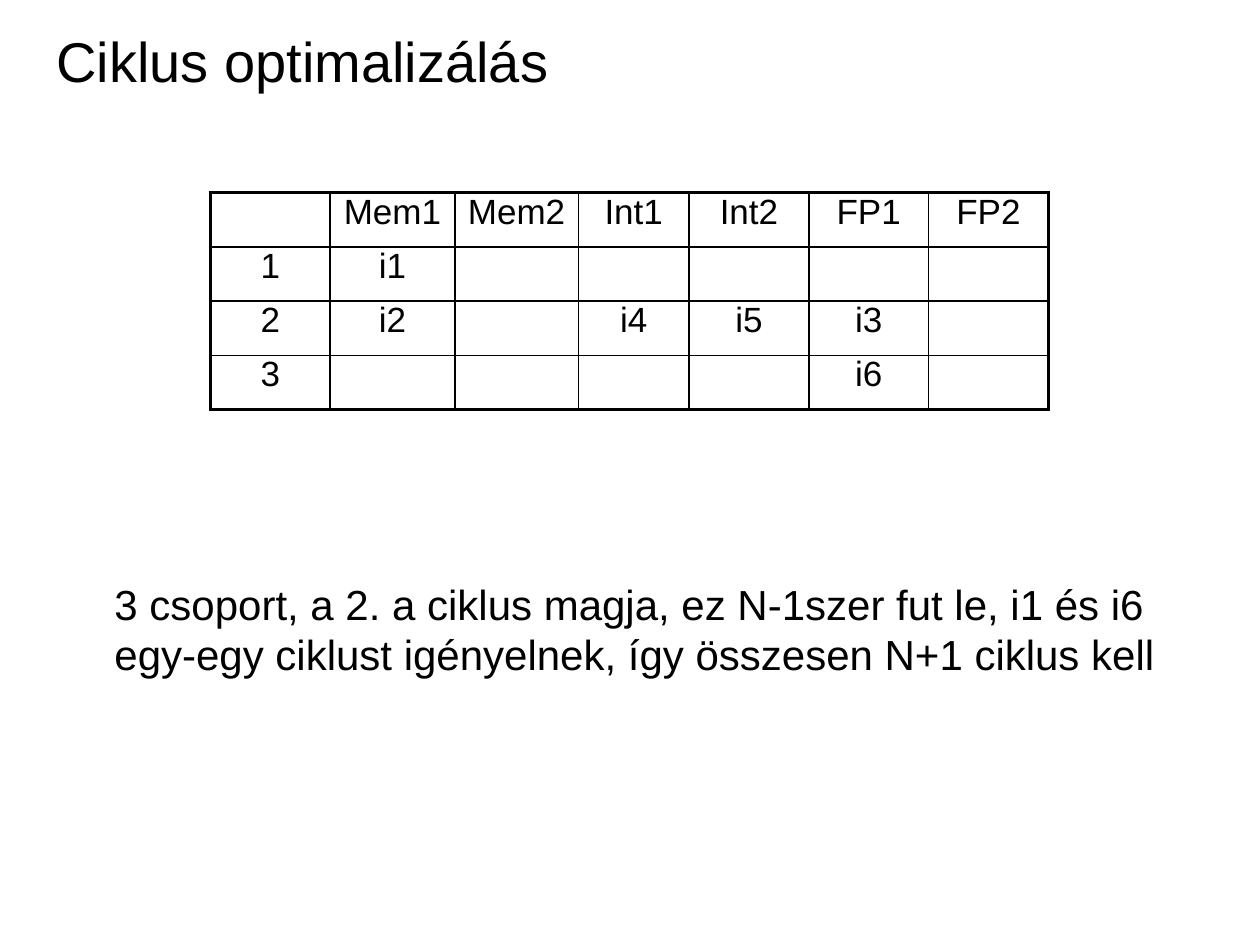
from dataclasses import dataclass

import pptx
import pptx.dml.color
import pptx.enum.text
import pptx.oxml
import pptx.oxml.ns
import pptx.util

Inches = pptx.util.Inches
Anchor = pptx.enum.text.MSO_ANCHOR
Align = pptx.enum.text.PP_ALIGN


@dataclass(frozen=True)
class Theme:
    font: str = "Arial"
    ink: str = "000000"
    title_size: int = 32
    body_size: int = 24
    cell_size: int = 20
    outer_line: float = 2.25
    inner_line: float = 1


@dataclass(frozen=True)
class TextBlock:
    text: str
    left: float
    top: float
    width: float
    height: float
    size: int
    anchor: Anchor = Anchor.TOP


THEME = Theme()

TEXT_BLOCKS = [
    TextBlock("Ciklus optimalizálás", 0.35, 0.21, 5.75, 0.54,
              THEME.title_size, Anchor.MIDDLE),
    TextBlock("3 csoport, a 2. a ciklus magja, ez N-1szer fut le, i1 és i6 "
              "egy-egy ciklust igényelnek, így összesen N+1 ciklus kell",
              0.81, 4.54, 8.79, 0.9, THEME.body_size),
]

SCHEDULE = [
    ["", "Mem1", "Mem2", "Int1", "Int2", "FP1", "FP2"],
    ["1", "i1", "", "", "", "", ""],
    ["2", "i2", "", "i4", "i5", "i3", ""],
    ["3", "", "", "", "", "i6", ""],
]
SCHEDULE_LEFT, SCHEDULE_TOP = 1.67, 1.53
COLUMN_WIDTHS = [0.95, 0.99, 0.98, 0.88, 0.95, 0.95, 0.95]
ROW_HEIGHT = 0.43


def set_font(font: pptx.text.text.Font, size: int) -> None:
    font.name = THEME.font
    font.size = pptx.util.Pt(size)
    font.color.rgb = pptx.dml.color.RGBColor.from_string(THEME.ink)


def draw_text(page: pptx.slide.Slide, block: TextBlock) -> None:
    box = page.shapes.add_textbox(Inches(block.left), Inches(block.top),
                                  Inches(block.width), Inches(block.height))
    frame = box.text_frame
    frame.word_wrap = True
    frame.vertical_anchor = block.anchor
    frame.text = block.text
    set_font(frame.paragraphs[0].runs[0].font, block.size)


def set_border(cell: pptx.table._Cell, side: str, outer: bool) -> None:
    """Add one border line; side is L, R, T or B."""
    points = THEME.outer_line if outer else THEME.inner_line
    cell._tc.get_or_add_tcPr().append(pptx.oxml.parse_xml(
        f'<a:ln{side} {pptx.oxml.ns.nsdecls("a")} w="{pptx.util.Pt(points)}">'
        f'<a:solidFill><a:srgbClr val="{THEME.ink}"/></a:solidFill>'
        f'</a:ln{side}>'))


def draw_schedule(page: pptx.slide.Slide) -> None:
    row_count, column_count = len(SCHEDULE), len(COLUMN_WIDTHS)
    table = page.shapes.add_table(
        row_count, column_count, Inches(SCHEDULE_LEFT), Inches(SCHEDULE_TOP),
        Inches(sum(COLUMN_WIDTHS)), Inches(ROW_HEIGHT * row_count)).table
    table.first_row = table.horz_banding = False
    for column, width in zip(table.columns, COLUMN_WIDTHS):
        column.width = Inches(width)
    for row_index, texts in enumerate(SCHEDULE):
        table.rows[row_index].height = Inches(ROW_HEIGHT)
        for column_index, text in enumerate(texts):
            cell = table.cell(row_index, column_index)
            cell.margin_left = cell.margin_right = 0
            cell.margin_top = cell.margin_bottom = 0
            cell.text = text
            para = cell.text_frame.paragraphs[0]
            para.alignment = Align.CENTER
            for span in para.runs:
                set_font(span.font, THEME.cell_size)
            set_border(cell, "L", column_index == 0)
            set_border(cell, "R", column_index == column_count - 1)
            set_border(cell, "T", row_index == 0)
            set_border(cell, "B", row_index == row_count - 1)
            cell.fill.background()


def main() -> None:
    deck = pptx.Presentation()
    deck.slide_width, deck.slide_height = Inches(10), Inches(7.5)
    page = deck.slides.add_slide(deck.slide_layouts[6])
    draw_schedule(page)
    for block in TEXT_BLOCKS:
        draw_text(page, block)
    deck.save("out.pptx")


if __name__ == "__main__":
    main()
